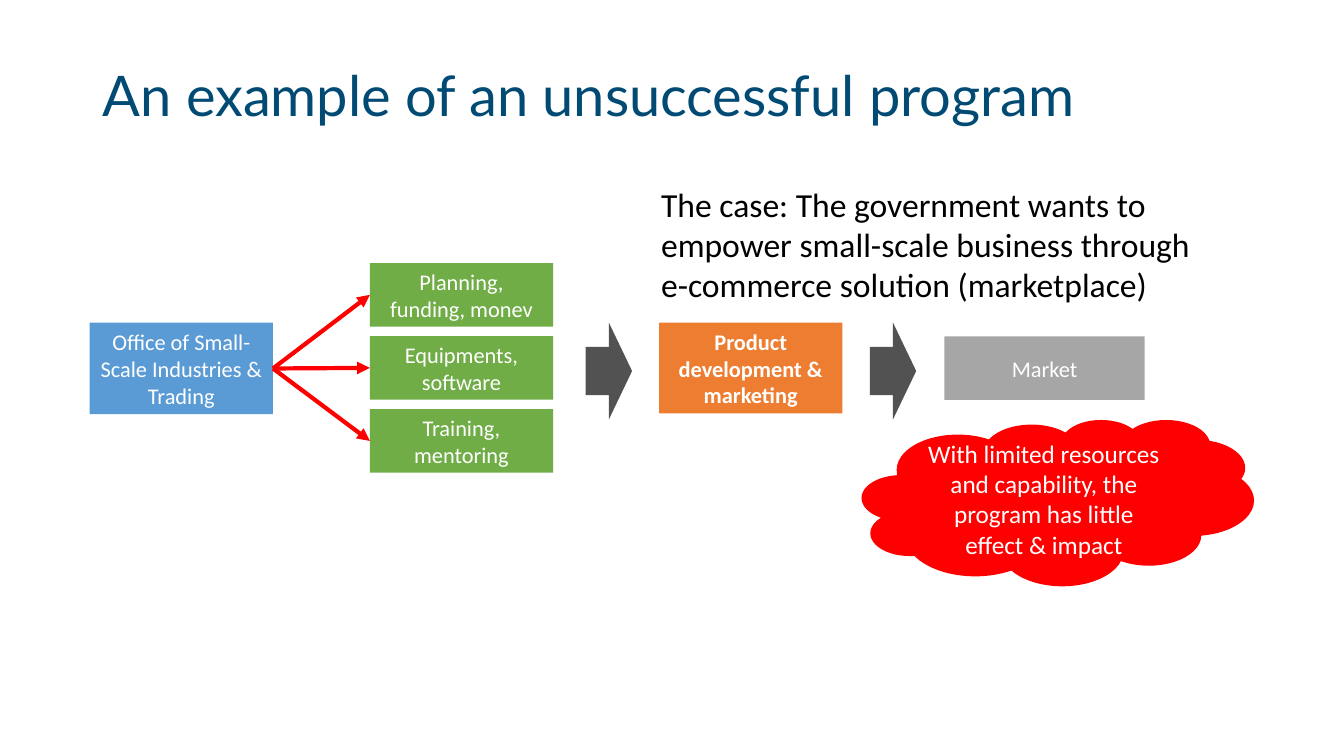
from lxml.etree import SubElement
from pptx import Presentation
from pptx.dml.color import RGBColor
from pptx.enum.shapes import MSO_CONNECTOR as Line, MSO_SHAPE as Preset
from pptx.enum.text import MSO_ANCHOR as Anchor, PP_ALIGN as Align
from pptx.oxml.ns import qn
from pptx.util import Cm, Pt

COLORS = {
    "title": "014A73", "text": "000000", "light": "FFFFFF",
    "office": "5B9BD5", "support": "70AD47", "product": "ED7D31",
    "market": "A6A6A6", "step": "525252", "alert": "FF0000",
}
TITLE = "An example of an unsuccessful program"
CASE = [
    "The case: The government wants to",
    "empower small-scale business through",
    "e-commerce solution (marketplace)",
]
OFFICE = "Office of Small-Scale Industries & Trading"
SUPPORTS = ["Planning, funding, monev", "Equipments, software", "Training, mentoring"]
PRODUCT = "Product development & marketing"
MARKET = "Market"
IMPACT = "With limited resources and capability, the program has little effect & impact"

ROW_TOP = 8.13
BOX_WIDTH = 4.62
SUPPORT_LEFT, SUPPORT_TOP, SUPPORT_HEIGHT, SUPPORT_PITCH = 9.32, 6.63, 1.6, 1.84
STEP_LEFTS = [14.76, 21.92]


def color(name):
    return RGBColor.from_string(COLORS[name])


def write(frame, lines, size, ink, font="Calibri", bold=False, align=Align.LEFT):
    for index, line in enumerate(lines):
        para = frame.paragraphs[0] if index == 0 else frame.add_paragraph()
        para.text = line
        para.alignment = align
        para.font.name = font
        para.font.size = Pt(size)
        para.font.bold = bold
        para.font.color.rgb = color(ink)


def add_text(page, place, lines, size, ink, font="Calibri", wrap=True, anchor=Anchor.TOP):
    box = page.shapes.add_textbox(*map(Cm, place))
    box.text_frame.word_wrap = wrap
    box.text_frame.vertical_anchor = anchor
    write(box.text_frame, lines, size, ink, font)
    return box


def add_block(page, preset, place, fill, label=None, size=16, bold=False):
    block = page.shapes.add_shape(preset, *map(Cm, place))
    block.shadow.inherit = False
    block.fill.solid()
    block.fill.fore_color.rgb = color(fill)
    block.line.fill.background()
    if label:
        block.text_frame.word_wrap = True
        block.text_frame.vertical_anchor = Anchor.MIDDLE
        write(block.text_frame, [label], size, "light", bold=bold, align=Align.CENTER)
    return block


def add_arrow(page, source, target):
    arrow = page.shapes.add_connector(Line.STRAIGHT, 0, 0, 0, 0)
    arrow.begin_connect(source, 3)
    arrow.end_connect(target, 1)
    arrow.line.color.rgb = color("alert")
    arrow.line.width = Pt(3)
    SubElement(arrow.line._get_or_add_ln(), qn("a:tailEnd"), type="triangle")
    SubElement(arrow._element.spPr, qn("a:effectLst"))


def main():
    deck = Presentation()
    deck.slide_width, deck.slide_height = Cm(33.87), Cm(19.05)
    page = deck.slides.add_slide(deck.slide_layouts[6])

    title = add_text(page, (2.34, 1.02, 29.21, 2.9), [TITLE], 40, "title", "Lato",
                     anchor=Anchor.MIDDLE)
    title.text_frame.paragraphs[0].line_spacing = 0.9

    office = add_block(page, Preset.RECTANGLE, (2.26, ROW_TOP, BOX_WIDTH, 2.31), "office", OFFICE)
    supports = [
        add_block(page, Preset.RECTANGLE,
                  (SUPPORT_LEFT, SUPPORT_TOP + row * SUPPORT_PITCH, BOX_WIDTH, SUPPORT_HEIGHT),
                  "support", label)
        for row, label in enumerate(SUPPORTS)
    ]
    add_block(page, Preset.RECTANGLE, (16.61, ROW_TOP, BOX_WIDTH, 2.29), "product", PRODUCT, bold=True)
    add_block(page, Preset.RECTANGLE, (23.8, 8.48, 5.05, SUPPORT_HEIGHT), "market", MARKET)

    for support in supports:
        add_arrow(page, office, support)
    for left in STEP_LEFTS:
        add_block(page, Preset.RIGHT_ARROW, (left, ROW_TOP, 1.17, 2.44), "step")

    add_text(page, (16.41, 4.5, 13.97, 3.33), CASE, 24, "text", wrap=False)
    add_block(page, Preset.CLOUD, (21.72, 10.57, 9.88, 4.19), "alert", IMPACT, size=18)

    deck.save("out.pptx")


if __name__ == "__main__":
    main()
